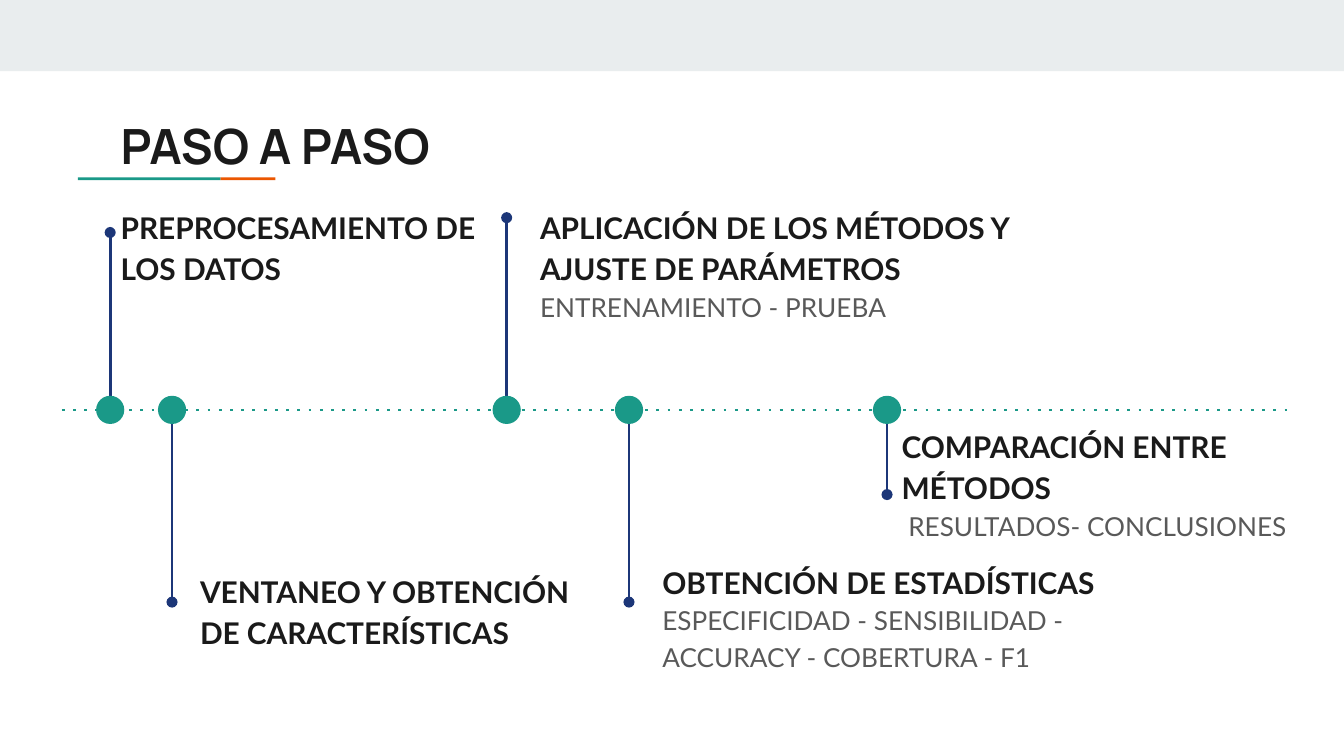
from lxml.etree import SubElement
from pptx import Presentation
from pptx.dml.color import RGBColor
from pptx.enum.shapes import MSO_CONNECTOR as Link, MSO_SHAPE as Shape
from pptx.enum.text import MSO_ANCHOR as Anchor, PP_ALIGN as Align
from pptx.oxml.ns import qn
from pptx.util import Inches, Pt

INK = {
    "band": "E9EDEE", "teal": "1A9988", "orange": "EB5600",
    "navy": "1C3678", "dark": "1A1A1A", "grey": "595959",
}

deck = Presentation()
deck.slide_width, deck.slide_height = Inches(10), Inches(5.625)
slide = deck.slides.add_slide(deck.slide_layouts[6])

# Square grid: 100 columns by 56.25 rows
COLS, ROWS = 100, 56.25
UNIT = deck.slide_width / COLS
AXIS = 30.5
DOT = 2.1


def grid(*vals):
    return [round(val * UNIT) for val in vals]


def block(kind, box, ink):
    shape = slide.shapes.add_shape(kind, *grid(*box))
    shape.shadow.inherit = False
    shape.fill.solid()
    shape.fill.fore_color.rgb = RGBColor.from_string(INK[ink])
    shape.line.fill.background()
    return shape


def rule(start, end, ink, mark, **style):
    """Draw a straight line; mark names a line element such as prstDash."""
    line = slide.shapes.add_connector(Link.STRAIGHT, *grid(*start, *end))
    line.line.width = Pt(1.5)
    line.line.color.rgb = RGBColor.from_string(INK[ink])
    props = line._element.spPr
    SubElement(props.find(qn("a:ln")), qn("a:" + mark), style)
    SubElement(props, qn("a:effectLst"))


def write(frame, text, size, ink, font="Lato", bold=False, space=None, first=False):
    para = frame.paragraphs[0] if first else frame.add_paragraph()
    para.alignment = Align.LEFT
    para.line_spacing = space
    run = para.add_run()
    run.text = text
    run.font.name, run.font.size, run.font.bold = font, Pt(size), bold
    run.font.color.rgb = RGBColor.from_string(INK[ink])


def frame_in(box):
    frame = slide.shapes.add_textbox(*grid(*box)).text_frame
    frame.word_wrap = True
    frame.vertical_anchor = Anchor.TOP
    frame.margin_left = frame.margin_right = Inches(0.1)
    frame.margin_top = frame.margin_bottom = Inches(0.1)
    return frame


def header(box):
    """Place the top band, the two-colour underline and the title."""
    left, top, wide, high = box
    block(Shape.RECTANGLE, (left, top, wide, 5.3), "band")
    under = top + high - 0.3
    block(Shape.RECTANGLE, (left + 16.4, under, 4.1, 0.2), "orange")
    block(Shape.RECTANGLE, (left + 5.8, under, 10.6, 0.2), "teal")
    title = frame_in((left + 8, top + 7.6, 84.1, high - 7.6))
    write(title, "PASO A PASO", 26, "dark", font="Manrope", bold=True, first=True)


def step(x, tip, box, head, note=None):
    """Place a dot on the axis, its stem up or down to tip, and its text."""
    edge = AXIS + DOT / 2 * (1 if tip > AXIS else -1)
    rule((x, edge), (x, tip), "navy", "tailEnd", type="oval")
    block(Shape.OVAL, (x - DOT / 2, AXIS - DOT / 2, DOT, DOT), "teal")
    frame = frame_in(box)
    write(frame, head, 16, "dark", bold=True, space=1.15, first=True)
    if note:
        write(frame, note, 14, "grey", space=1.15)


STEPS = [
    (8.2, 17.3, (8, 14.2, 28.6, 10.6), "PREPROCESAMIENTO DE LOS DATOS"),
    (12.8, 44.8, (13.9, 41.3, 30.4, 9.3), "VENTANEO Y OBTENCIÓN DE CARACTERÍSTICAS"),
    (37.7, 16.2, (39.2, 14.2, 38, 10.6),
     "APLICACIÓN DE LOS MÉTODOS Y AJUSTE DE PARÁMETROS", "ENTRENAMIENTO - PRUEBA"),
    (46.8, 44.8, (48.3, 40.6, 38, 10.6), "OBTENCIÓN DE ESTADÍSTICAS",
     "ESPECIFICIDAD - SENSIBILIDAD - ACCURACY - COBERTURA - F1"),
    (66, 36.8, (66.1, 30.5, 30.9, 7.8), "COMPARACIÓN ENTRE MÉTODOS",
     " RESULTADOS- CONCLUSIONES"),
]

header((0, 0, COLS, 13.5))
rule((4.6, AXIS), (95.8, AXIS), "teal", "prstDash", val="dot")
for item in STEPS:
    step(*item)

deck.save("out.pptx")
